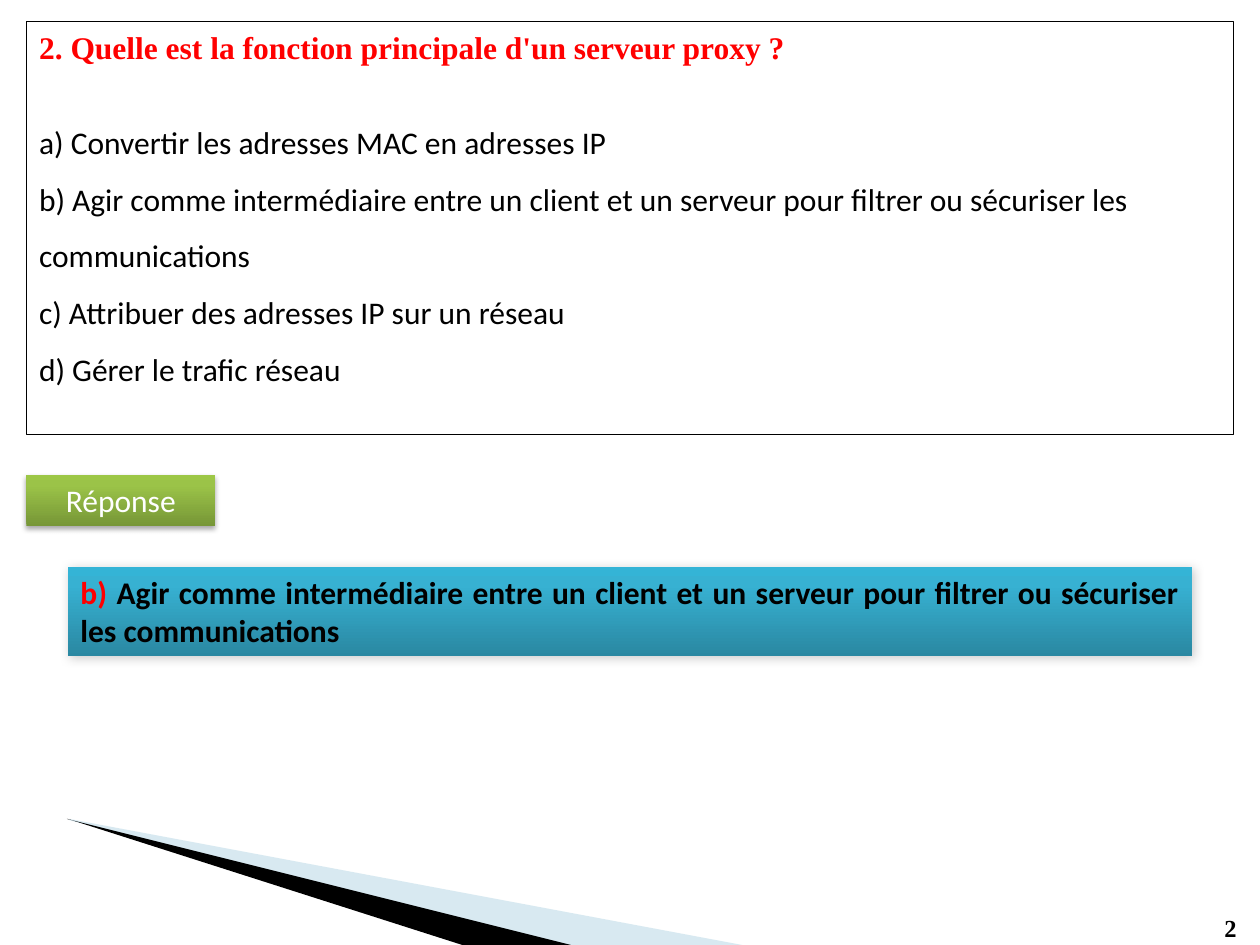
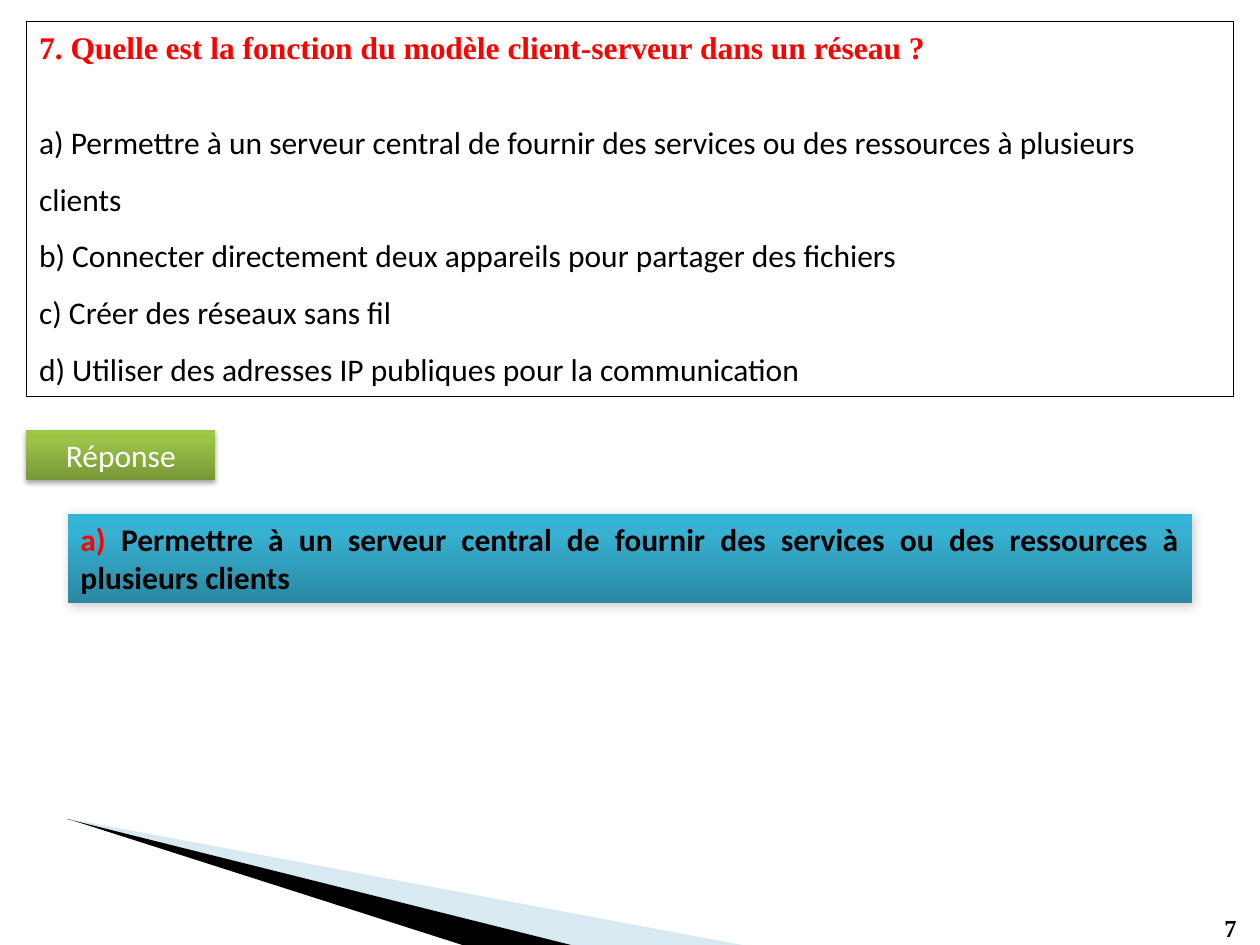
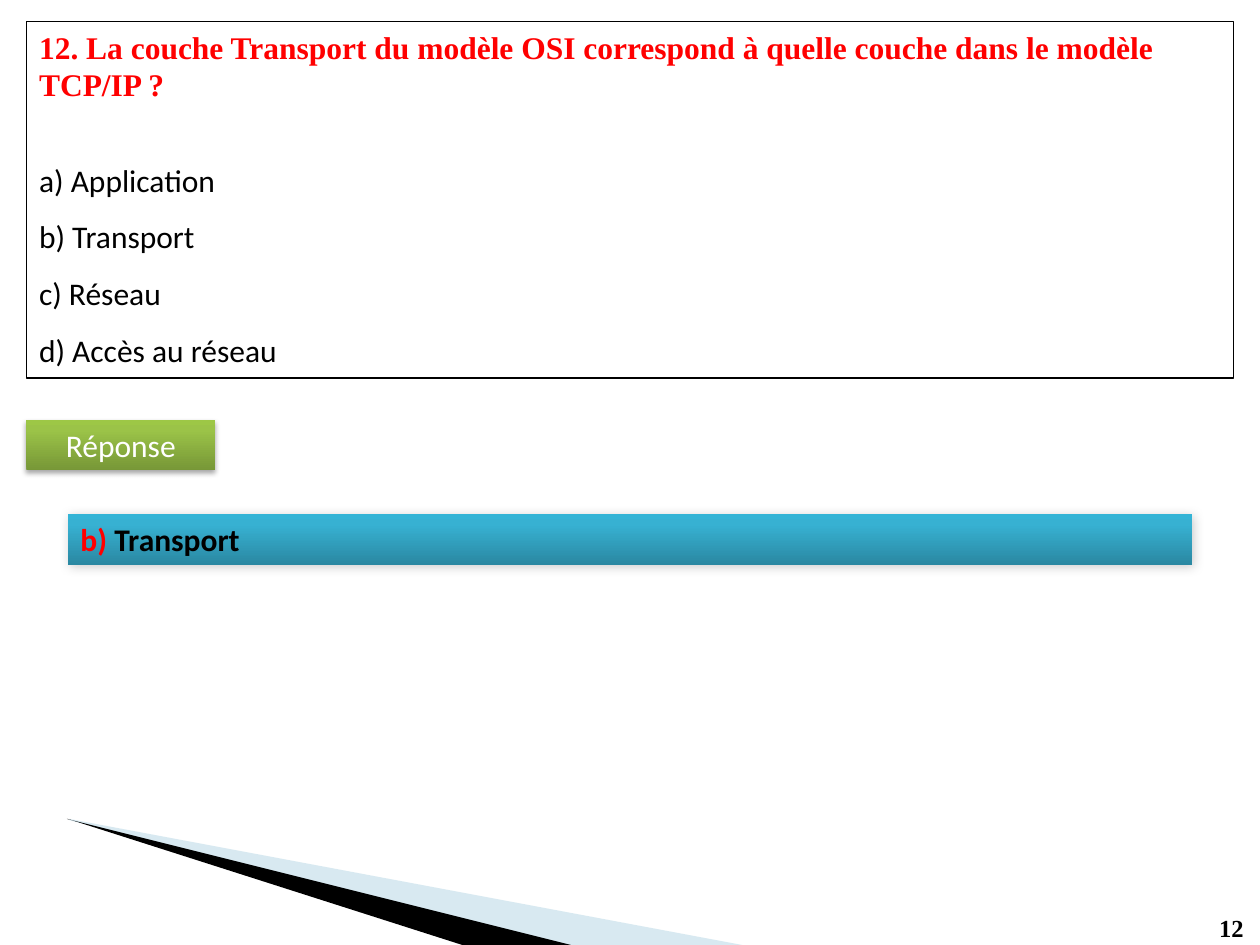
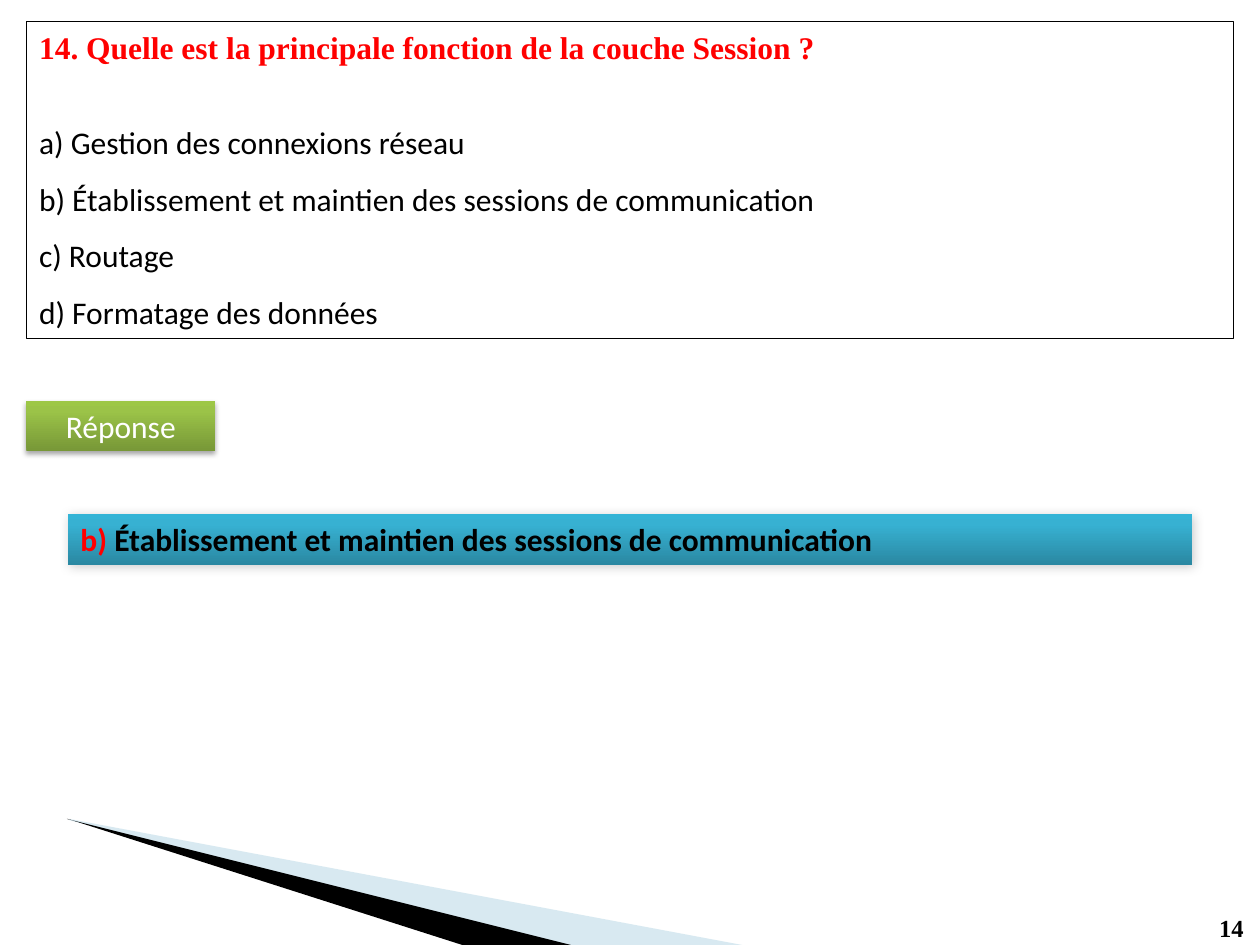
from copy import deepcopy
from pptx import Presentation
from pptx.dml.color import RGBColor as Rgb
from pptx.enum.shapes import MSO_SHAPE as Kind
from pptx.enum.text import MSO_ANCHOR as Anchor, MSO_AUTO_SIZE as Fit, PP_ALIGN as Align
from pptx.oxml import parse_xml
from pptx.oxml.ns import nsdecls, qn
from pptx.util import Pt

WIDE, HIGH = 720, 540
EDGE, TOP = 15.1, 12.2
SANS, SERIF = "Calibri", "Times New Roman"
HUES = {
    "ink": "000000", "red": "FF0000", "white": "FFFFFF", "pale": "9FCADC",
    "green": ("779737", "9BC348", "9DC746"),
    "blue": ("2A88A2", "37B1D2", "34B4D6"),
}
CARDS = [
    dict(num=2, ask="Quelle est la fonction principale d'un serveur proxy ?",
         picks=["Convertir les adresses MAC en adresses IP",
                "Agir comme intermédiaire entre un client et un serveur pour filtrer "
                "ou sécuriser les communications",
                "Attribuer des adresses IP sur un réseau",
                "Gérer le trafic réseau"],
         right=1, tall=236.2, tag=271.4, reply=(324, 51)),
    dict(num=7, ask="Quelle est la fonction du modèle client-serveur dans un réseau ?",
         picks=["Permettre à un serveur central de fournir des services ou des "
                "ressources à plusieurs clients",
                "Connecter directement deux appareils pour partager des fichiers",
                "Créer des réseaux sans fil",
                "Utiliser des adresses IP publiques pour la communication"],
         right=0, tall=214.6, tag=245.5, reply=(293.8, 51)),
    dict(num=12, ask="La couche Transport du modèle OSI correspond à quelle couche "
                     "dans le modèle TCP/IP ?",
         picks=["Application", "Transport", "Réseau", "Accès au réseau"],
         right=1, tall=203.8, tag=239.8, reply=(293.8, 29)),
    dict(num=14, ask="Quelle est la principale fonction de la couche Session ?",
         picks=["Gestion des connexions réseau",
                "Établissement et maintien des sessions de communication",
                "Routage", "Formatage des données"],
         right=1, tall=181.4, tag=229, reply=(293.8, 29)),
]


def tint(hue):
    """Return the colour with this name."""
    return Rgb.from_string(HUES[hue])


def write(par, text, size=18, face=SANS, hue="ink", bold=False,
          align=Align.LEFT, lines=1.0, before=0):
    """Add a formatted run to a paragraph."""
    par.alignment, par.line_spacing, par.space_before = align, lines, Pt(before)
    run = par.add_run()
    run.text = text
    run.font.size, run.font.name, run.font.bold = Pt(size), face, bold
    run.font.color.rgb = tint(hue)


def place(shape, box):
    """Put a shape in its box, in points, and ready its text frame."""
    shape.left, shape.top, shape.width, shape.height = map(Pt, box)
    frame = shape.text_frame
    frame.word_wrap, frame.auto_size = True, Fit.NONE
    frame.vertical_anchor = Anchor.TOP
    return frame


def panel(slide, box, hue, alpha, blur, dist, angle):
    """Draw a shaded rectangle with a soft shadow and return its text frame."""
    shape = slide.shapes.add_shape(Kind.RECTANGLE, *map(Pt, box))
    shape.line.fill.background()
    fill = shape.fill
    fill.gradient()
    fill.gradient_angle = 90
    props = shape._element.spPr
    stops = props.find(".//" + qn("a:gsLst"))
    stops.append(deepcopy(stops[-1]))
    for stop, spot, code in zip(fill.gradient_stops, (0, 0.8, 1), HUES[hue]):
        stop.position, stop.color.rgb = spot, Rgb.from_string(code)
    shape.shadow.inherit = False
    props.find(qn("a:effectLst")).append(parse_xml(
        f'<a:outerShdw {nsdecls("a")} blurRad="{Pt(blur)}" dist="{Pt(dist)}" '
        f'dir="{angle * 60000}" rotWithShape="0"><a:srgbClr val="{HUES["ink"]}">'
        f'<a:alpha val="{alpha * 1000}"/></a:srgbClr></a:outerShdw>'))
    return place(shape, box)


def wedge(slide, layout, hue, points, alpha=100):
    """Draw a filled outline and move it to the layout."""
    first, *rest = [(Pt(x), Pt(y)) for x, y in points]
    pen = slide.shapes.build_freeform(*first)
    pen.add_line_segments(rest, close=True)
    shape = pen.convert_to_shape()
    shape.fill.solid()
    shape.fill.fore_color.rgb = tint(hue)
    shape.line.fill.background()
    shape.shadow.inherit = False
    if alpha < 100:
        tone = shape._element.spPr.find(".//" + qn("a:srgbClr"))
        tone.append(parse_xml(f'<a:alpha {nsdecls("a")} val="{alpha * 1000}"/>'))
    layout.shapes._spTree.append(shape._element)


def corner(slide, layout):
    """Give the layout its two wedges along the bottom edge."""
    wedge(slide, layout, "pale",
          [(39.6, 468), (39.6, 468.7), (324.7, HIGH), (424.1, HIGH)], alpha=40)
    wedge(slide, layout, "ink",
          [(38.2, 468), (38.9, 468), (264.2, HIGH), (326.2, HIGH)])


def label(index):
    """Return the letter that marks a choice."""
    return f"{'abcd'[index]}) "


def quiz(slide, box, num, ask, picks):
    """Fill the framed title with the question and its choices."""
    title = slide.shapes.title
    frame = place(title, box)
    title.line.color.rgb, title.line.width = tint("ink"), Pt(0.75)
    write(frame.paragraphs[0], f"{num}. {ask}", face=SERIF, hue="red", bold=True)
    for i, pick in enumerate(picks):
        write(frame.add_paragraph(), label(i) + pick, lines=1.5,
              before=0 if i else 22)


def badge(slide, box):
    """Draw the green answer tag."""
    frame = panel(slide, box, "green", 35, 3.1, 1.8, 90)
    write(frame.paragraphs[0], "Réponse", hue="white", align=Align.CENTER)


def reply(slide, box, mark, text):
    """Draw the blue bar with the right choice."""
    par = panel(slide, box, "blue", 20, 6, 1, 45).paragraphs[0]
    write(par, mark, hue="red", bold=True, align=Align.JUSTIFY)
    write(par, text, bold=True, align=Align.JUSTIFY)


def folio(slide, num):
    """Write the page number in the bottom right corner."""
    wide = 26 if num < 10 else 29
    box = WIDE - 1.4 - wide, 518.4, wide, 24.2
    frame = place(slide.shapes.add_textbox(*map(Pt, box)), box)
    write(frame.paragraphs[0], str(num), size=14, face=SERIF, bold=True)


def card(slide, num, ask, picks, right, tall, tag, reply_at):
    """Build one slide from a question and its answer."""
    folio(slide, num)
    quiz(slide, (EDGE, TOP, WIDE - 2 * EDGE, tall), num, ask, picks)
    badge(slide, (EDGE, tag, 108, 29))
    top, high = reply_at
    reply(slide, (38.9, top, WIDE - 2 * 38.9, high), label(right), picks[right])


def main():
    """Build and save the deck."""
    deck = Presentation()
    deck.slide_width, deck.slide_height = Pt(WIDE), Pt(HIGH)
    layout = deck.slide_layouts.get_by_name("Title Only")
    slides = [deck.slides.add_slide(layout) for _ in CARDS]
    corner(slides[0], layout)
    for slide, data in zip(slides, CARDS):
        facts = dict(data)
        card(slide, reply_at=facts.pop("reply"), **facts)
    deck.save("out.pptx")


if __name__ == "__main__":
    main()
